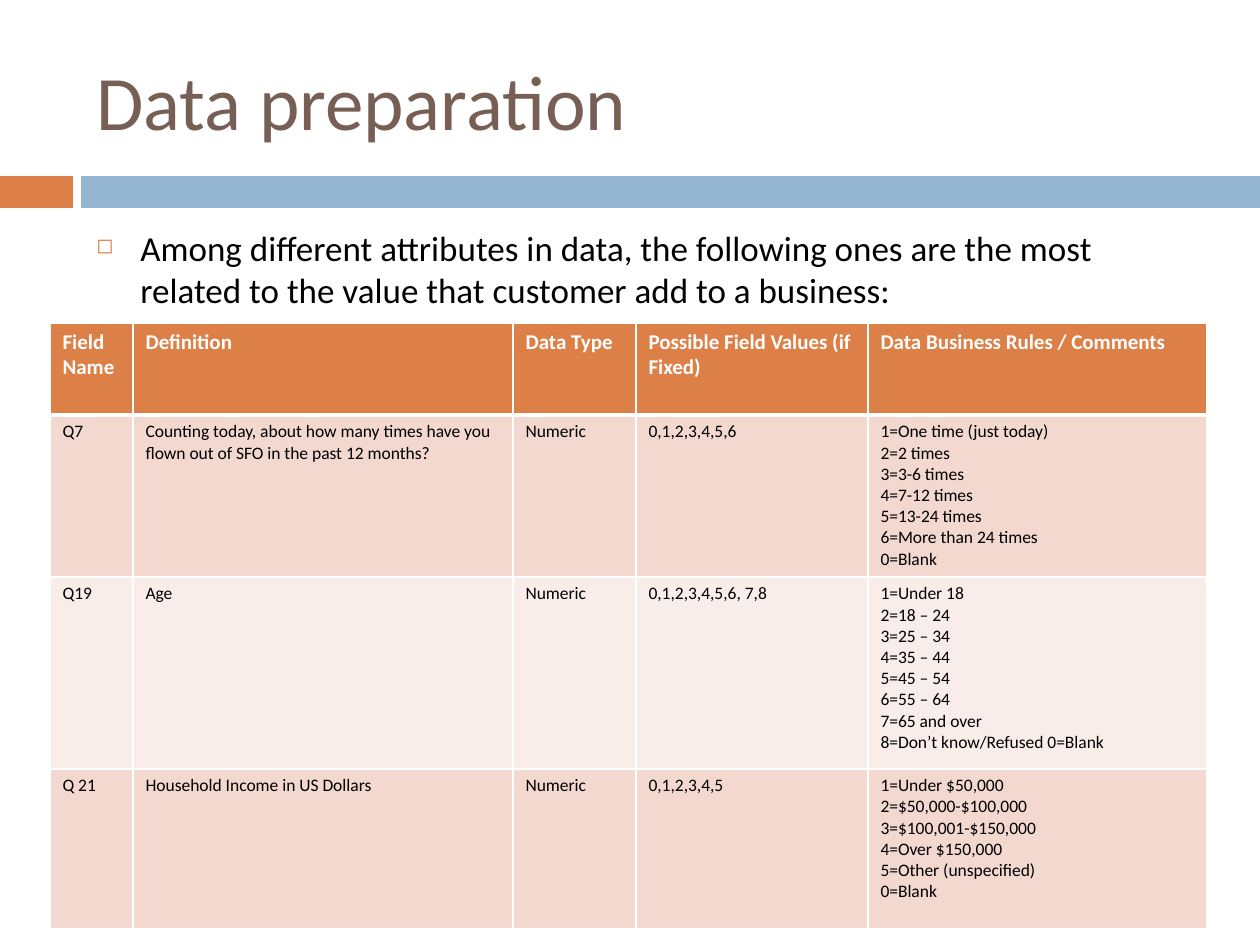
from copy import deepcopy

from pptx import Presentation
from pptx.dml.color import RGBColor
from pptx.enum.shapes import MSO_SHAPE
from pptx.enum.text import MSO_ANCHOR
from pptx.oxml import parse_xml
from pptx.oxml.ns import nsdecls, qn
from pptx.util import Pt

PX = 914400 / 126
C = {
    "orange": "DD8047",
    "blue": "94B6D2",
    "brown": "775F55",
    "black": "000000",
    "white": "FFFFFF",
    "band": "F2D8CF",
    "pale": "F9EDE9",
}
COLS = [83, 380, 123, 232, 339]
ROWS = [92, 162, 192, 160]
HEADER = ["Field Name", "Definition", "Data Type",
          "Possible Field Values (if Fixed)", "Data Business Rules / Comments"]
FIELDS = [
    ["Q7",
     "Counting today, about how many times have you flown out of SFO in the past 12 months?",
     "Numeric", "0,1,2,3,4,5,6",
     "1=One time (just today)\n2=2 times\v3=3-6 times\v4=7-12 times\n"
     "5=13-24 times\n6=More than 24 times\n0=Blank"],
    ["Q19", "Age", "Numeric", "0,1,2,3,4,5,6, 7,8",
     "1=Under 18\v2=18 – 24\v3=25 – 34\v4=35 – 44\v5=45 – 54\v6=55 – 64\v"
     "7=65 and over\v8=Don’t know/Refused 0=Blank"],
    ["Q 21", "Household Income in US Dollars", "Numeric", "0,1,2,3,4,5",
     "1=Under $50,000\n2=$50,000-$100,000\n3=$100,001-$150,000\n"
     "4=Over $150,000\n5=Other (unspecified)\n0=Blank"],
]


def px(*values):
    return [round(v * PX) for v in values]


def rgb(name):
    return RGBColor.from_string(C[name])


def write(tf, text, size, color, bold=False, anchor=MSO_ANCHOR.TOP):
    tf.text = text
    tf.word_wrap = True
    tf.vertical_anchor = anchor
    for p in tf.paragraphs:
        for r in p.runs:
            r.font.name = "Calibri"
            r.font.size = Pt(size)
            r.font.bold = bold
            r.font.color.rgb = rgb(color)
        for br in p._p.findall(qn("a:br")):
            br.append(deepcopy(p.runs[0]._r.rPr))


def add_bullet(p, indent):
    pPr = p._p.get_or_add_pPr()
    pPr.set("marL", str(indent))
    pPr.set("indent", str(-indent))
    for xml in (
        f'<a:buClr {nsdecls("a")}><a:srgbClr val="{C["orange"]}"/></a:buClr>',
        f'<a:buSzPct {nsdecls("a")} val="60000"/>',
        f'<a:buChar {nsdecls("a")} char="◻"/>',
    ):
        pPr.append(parse_xml(xml))


def set_borders(cell, bottom):
    tcPr = cell._tc.get_or_add_tcPr()
    widths = {"lnL": 1, "lnR": 1, "lnT": 1, "lnB": bottom}
    for i, (tag, width) in enumerate(widths.items()):
        tcPr.insert(i, parse_xml(
            f'<a:{tag} {nsdecls("a")} w="{Pt(width)}"><a:solidFill>'
            f'<a:srgbClr val="{C["white"]}"/></a:solidFill></a:{tag}>'))


def add_stripe(s, x, y, w, h):
    split, gap = 73, 8
    for left, width, color in ((x, split, "orange"),
                               (x + split + gap, w - split - gap, "blue")):
        sp = s.shapes.add_shape(MSO_SHAPE.RECTANGLE, *px(left, y, width, h))
        sp.shadow.inherit = False
        sp.fill.solid()
        sp.fill.fore_color.rgb = rgb(color)
        sp.line.fill.background()


def add_title(s, x, y, w, h):
    tf = s.shapes.add_textbox(*px(x, y, w, h)).text_frame
    write(tf, "Data preparation", size=44, color="brown", anchor=MSO_ANCHOR.MIDDLE)


def add_body(s, x, y, w, h):
    tf = s.shapes.add_textbox(*px(x, y, w, h)).text_frame
    write(tf, "Among different attributes in data, the following ones are the most "
              "related to the value that customer add to a business:",
          size=20, color="black")
    add_bullet(tf.paragraphs[0], px(44)[0])


def add_fields(s, x, y):
    table = s.shapes.add_table(len(ROWS), len(COLS),
                               *px(x, y, sum(COLS), sum(ROWS))).table
    for col, width in zip(table.columns, px(*COLS)):
        col.width = width
    for row, height in zip(table.rows, px(*ROWS)):
        row.height = height
    for i, texts in enumerate([HEADER] + FIELDS):
        head = i == 0
        fill = "orange" if head else "band" if i % 2 else "pale"
        for j, text in enumerate(texts):
            cell = table.cell(i, j)
            cell.fill.solid()
            cell.fill.fore_color.rgb = rgb(fill)
            write(cell.text_frame, text, size=12 if head else 10,
                  color="white" if head else "black", bold=head)
            set_borders(cell, bottom=3 if head else 1)


def main():
    prs = Presentation()
    prs.slide_width, prs.slide_height = px(1260, 945)
    s = prs.slides.add_slide(prs.slide_layouts[6])
    add_stripe(s, 0, 176, 1260, 32)
    add_title(s, 84, 32, 1124, 136)
    add_body(s, 84, 220, 1124, 620)
    add_fields(s, 50, 323)
    prs.save("out.pptx")


if __name__ == "__main__":
    main()
